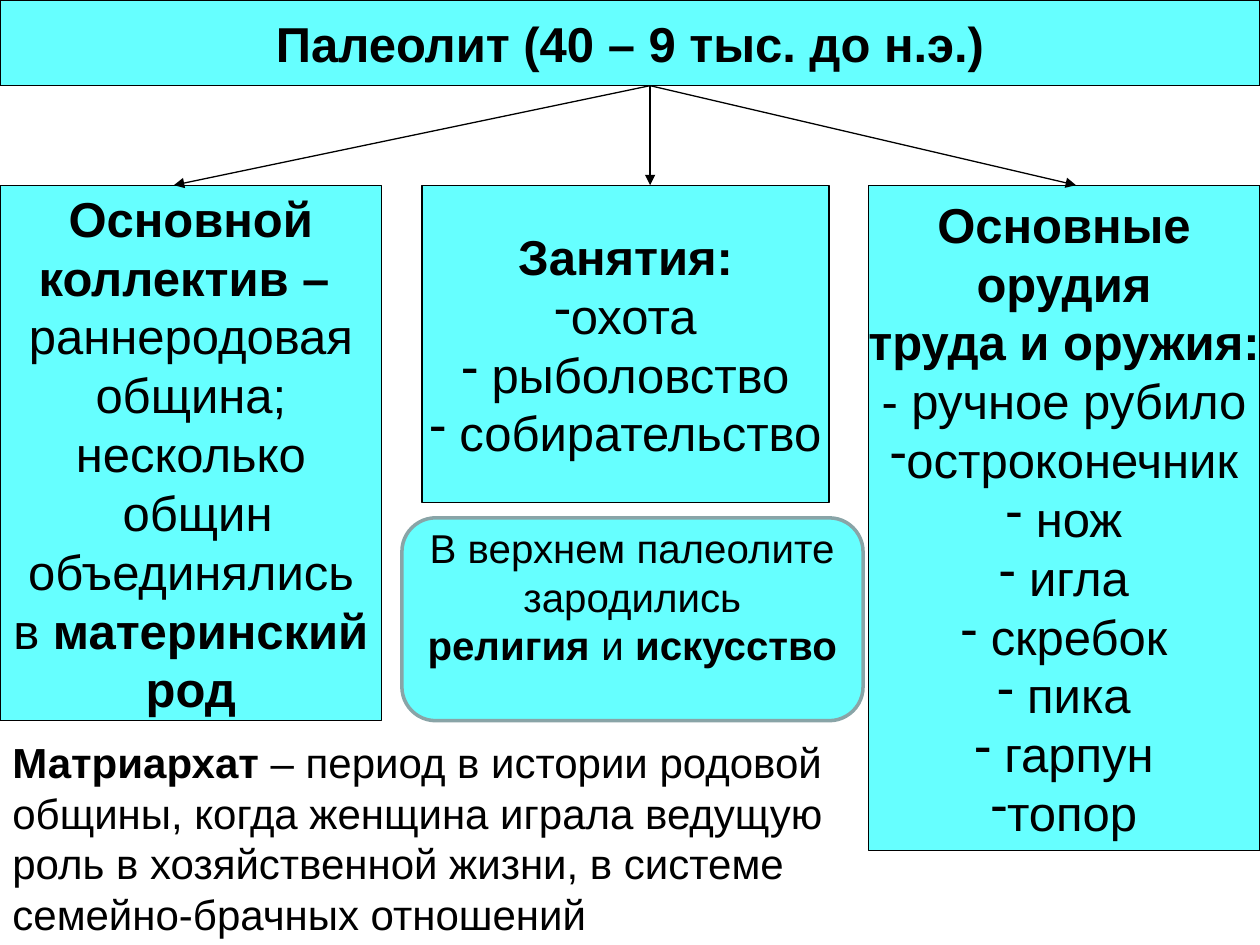
from dataclasses import dataclass

from lxml.etree import SubElement
from pptx import Presentation
from pptx.dml.color import RGBColor
from pptx.enum.shapes import MSO_CONNECTOR, MSO_SHAPE
from pptx.enum.text import MSO_ANCHOR, MSO_AUTO_SIZE, PP_ALIGN
from pptx.oxml.ns import qn
from pptx.util import Pt

FONT = "Arial"
BLACK = "000000"
CYAN = "66FFFF"
GRAY = "89A4A7"
COLUMN_TOP = 105.84
TITLE_HEIGHT = 48.96
ARROW_START = 371.52


@dataclass(frozen=True)
class Line:
    """One paragraph; text between asterisks is bold."""
    text: str
    bullet: bool = False


@dataclass(frozen=True)
class Column:
    left: float
    width: float
    height: float
    arrow_end: float
    lines: tuple[Line, ...]


def plain(*texts: str) -> tuple[Line, ...]:
    return tuple(Line(text) for text in texts)


def bulleted(*texts: str) -> tuple[Line, ...]:
    return tuple(Line(text, bullet=True) for text in texts)


TITLE = plain("*Палеолит (40 – 9 тыс. до н.э.)*")
COLUMNS = (
    Column(0, 218.16, 306, 99.36, plain(
        "*Основной*", "*коллектив – *", "раннеродовая", "община;", "несколько",
        " общин", "объединялись", "в *материнский*", "*род*")),
    Column(241.2, 232.56, 181.44, ARROW_START,
           plain("*Занятия:*") + bulleted("охота", " рыболовство", " собирательство")),
    Column(496.08, 223.92, 380.16, 614.88,
           plain("*Основные*", "*орудия*", "*труда и оружия:*", "- ручное рубило")
           + bulleted("остроконечник", " нож", " игла", " скребок", " пика",
                      " гарпун", "топор")),
)
CULTURE = plain("В верхнем палеолите", "зародились", "*религия* и *искусство*")
MATRIARCHY = plain(
    "*Матриархат* – период в истории родовой",
    "общины, когда женщина играла ведущую роль в хозяйственной жизни, в системе",
    "семейно-брачных отношений")


def color(value: str) -> RGBColor:
    return RGBColor.from_string(value)


def add_dash_bullet(paragraph) -> None:
    properties = paragraph._p.get_or_add_pPr()
    properties.set("marL", "0")
    properties.set("indent", "0")
    bullet_color = SubElement(properties, qn("a:buClr"))
    SubElement(bullet_color, qn("a:srgbClr"), val=BLACK)
    SubElement(properties, qn("a:buFontTx"))
    SubElement(properties, qn("a:buChar"), char="-")


def write_text(shape, lines: tuple[Line, ...], *, size: float = 28,
               align=PP_ALIGN.CENTER, anchor=MSO_ANCHOR.MIDDLE,
               wrap: bool = False, bottom_margin: float = 3.6) -> None:
    frame = shape.text_frame
    frame.auto_size = MSO_AUTO_SIZE.NONE
    frame.word_wrap = wrap
    frame.vertical_anchor = anchor
    frame.margin_left = frame.margin_right = Pt(7.2)
    frame.margin_top, frame.margin_bottom = Pt(3.6), Pt(bottom_margin)
    for index, line in enumerate(lines):
        paragraph = frame.add_paragraph() if index else frame.paragraphs[0]
        paragraph.alignment = align
        if line.bullet:
            add_dash_bullet(paragraph)
        for position, piece in enumerate(line.text.split("*")):
            if not piece:
                continue
            run = paragraph.add_run()
            run.text = piece
            run.font.name = FONT
            run.font.size = Pt(size)
            run.font.bold = position % 2 == 1
            run.font.color.rgb = color(BLACK)


def paint(shape, line_color: str = BLACK, line_width: float = 0.75) -> None:
    shape.fill.solid()
    shape.fill.fore_color.rgb = color(CYAN)
    shape.line.color.rgb = color(line_color)
    shape.line.width = Pt(line_width)


def add_title(slide) -> None:
    title = slide.shapes.title
    title.left, title.top = Pt(0), Pt(0)
    title.width, title.height = Pt(720), Pt(TITLE_HEIGHT)
    paint(title)
    write_text(title, TITLE)


def add_column(slide, column: Column) -> None:
    box = slide.shapes.add_shape(MSO_SHAPE.RECTANGLE, Pt(column.left), Pt(COLUMN_TOP),
                                 Pt(column.width), Pt(column.height))
    box.shadow.inherit = False
    paint(box)
    write_text(box, column.lines)


def add_arrow(slide, column: Column) -> None:
    arrow = slide.shapes.add_connector(MSO_CONNECTOR.STRAIGHT, Pt(ARROW_START),
                                       Pt(TITLE_HEIGHT), Pt(column.arrow_end),
                                       Pt(COLUMN_TOP))
    arrow.line.color.rgb = color(BLACK)
    arrow.line.width = Pt(0.75)
    SubElement(arrow.line._get_or_add_ln(), qn("a:tailEnd"), type="triangle")
    SubElement(arrow._element.spPr, qn("a:effectLst"))


def add_culture_box(slide) -> None:
    box = slide.shapes.add_shape(MSO_SHAPE.ROUNDED_RECTANGLE, Pt(229.68), Pt(295.92),
                                 Pt(263.52), Pt(115.92))
    box.shadow.inherit = False
    paint(box, GRAY, 2)
    write_text(box, CULTURE, size=23, wrap=True, bottom_margin=30)


def add_definition(slide) -> None:
    box = slide.shapes.add_textbox(Pt(0), Pt(417.6), Pt(478.8), Pt(122.4))
    write_text(box, MATRIARCHY, size=24, align=PP_ALIGN.LEFT,
               anchor=MSO_ANCHOR.TOP, wrap=True)


def main() -> None:
    presentation = Presentation()
    presentation.slide_width, presentation.slide_height = Pt(720), Pt(540)
    slide = presentation.slides.add_slide(presentation.slide_layouts[5])
    add_title(slide)
    for column in COLUMNS:
        add_column(slide, column)
    add_definition(slide)
    for column in COLUMNS:
        add_arrow(slide, column)
    add_culture_box(slide)
    presentation.save("out.pptx")


if __name__ == "__main__":
    main()
